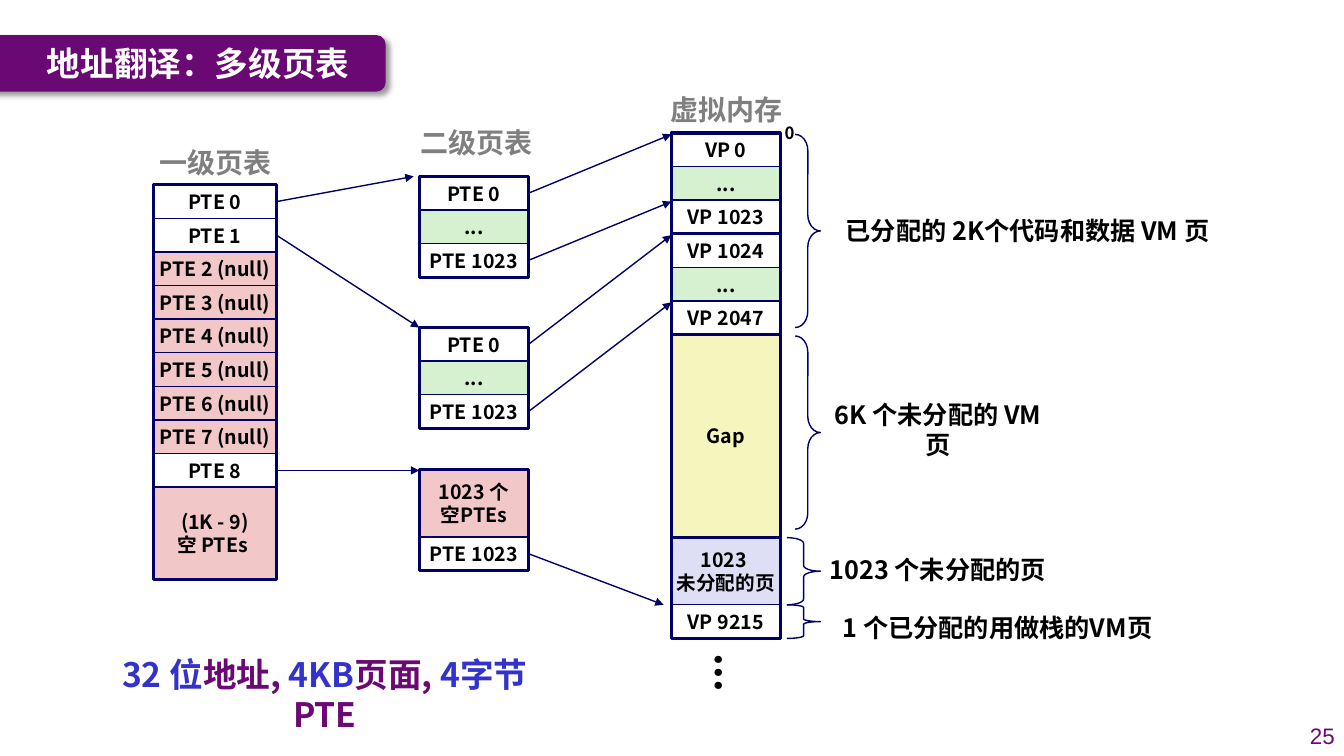
from lxml import etree
from pptx import Presentation
from pptx.dml.color import RGBColor
from pptx.enum.shapes import MSO_CONNECTOR, MSO_SHAPE
from pptx.enum.text import MSO_ANCHOR, PP_ALIGN
from pptx.oxml.ns import qn
from pptx.util import Pt

RECT, BRACE, ROUNDED = MSO_SHAPE.RECTANGLE, MSO_SHAPE.RIGHT_BRACE, MSO_SHAPE.ROUNDED_RECTANGLE
STRAIGHT = MSO_CONNECTOR.STRAIGHT
MIDDLE = MSO_ANCHOR.MIDDLE
LEFT, CENTER, RIGHT = PP_ALIGN.LEFT, PP_ALIGN.CENTER, PP_ALIGN.RIGHT
RIGHT_SIDE = 3

FONT = "Noto Sans CJK SC"
NAVY, PURPLE, BLUE, GRAY = "000066", "6A0874", "3333CC", "7F7F7F"
GREEN, PINK, YELLOW, LAVENDER = "D5F1CF", "F1C7C7", "F6F5BD", "DEDFF5"
ROW = 24
LEVEL1_X, LEVEL2_X, MEMORY_X = 109.5, 299.5, 479.5
LEVEL1_W, CELL_W = 88, 78


def write(holder, text, size, color="000000", align=CENTER, wrap=False, font=FONT, bold=True):
    """Fill a shape or text box with vertically centred text; return its frame."""
    frame = holder.text_frame
    frame.text = text
    frame.word_wrap = wrap
    frame.vertical_anchor = MIDDLE
    for paragraph in frame.paragraphs:
        paragraph.alignment = align
        paragraph.line_spacing = Pt(size * 1.2)
        paragraph.font.size = Pt(size)
        paragraph.font.bold = bold
        paragraph.font.name = font
        paragraph.font.color.rgb = RGBColor.from_string(color)
        for run in paragraph.runs:
            east_asian = etree.SubElement(run._r.get_or_add_rPr(), qn("a:ea"))
            east_asian.set("typeface", font)
    return frame


def draw(kind, x, y, w, h, fill=None, line=NAVY, weight=1):
    shape = slide.shapes.add_shape(kind, Pt(x), Pt(y), Pt(w), Pt(h))
    shape.shadow.inherit = False
    if fill:
        shape.fill.solid()
        shape.fill.fore_color.rgb = RGBColor.from_string(fill)
    else:
        shape.fill.background()
    if line:
        shape.line.color.rgb = RGBColor.from_string(line)
        shape.line.width = Pt(weight)
    else:
        shape.line.fill.background()
    return shape


prs = Presentation()
prs.slide_width, prs.slide_height = Pt(960), Pt(540)
slide = prs.slides.add_slide(prs.slide_layouts[6])

# Title banner
banner = draw(ROUNDED, -14.5, 25, 290, 40.5, PURPLE, None)
effects = banner._element.spPr.find(qn("a:effectLst"))
shadow = etree.SubElement(effects, qn("a:outerShdw"), blurRad=str(Pt(4)), dist=str(Pt(3)),
                          dir="2700000", algn="tl", rotWithShape="0")
shadow_color = etree.SubElement(shadow, qn("a:srgbClr"), val="000000")
etree.SubElement(shadow_color, qn("a:alpha"), val="40000")

# Page tables and virtual memory: x, top, width, rows of (text, height in rows, fill)
null_entries = [(f"PTE {i} (null)", 1, PINK) for i in range(2, 8)]
second_level = [("PTE 0", 1, None), ("...", 1, GREEN), ("PTE 1023", 1, None)]
blocks = {
    "level1": (LEVEL1_X, 132, LEVEL1_W, [
        ("PTE 0", 1, None), ("PTE 1", 1, None), *null_entries, ("PTE 8", 1, None),
        ("(1K - 9)\n空 PTEs ", 2.75, PINK)]),
    "code": (LEVEL2_X, 126, CELL_W, second_level),
    "data": (LEVEL2_X, 234, CELL_W, second_level),
    "stack": (LEVEL2_X, 335.5, CELL_W, [("1023 个\n空PTEs", 2, PINK), ("PTE 1023", 1, None)]),
    "vm code": (MEMORY_X, 95, CELL_W, [
        ("VP 0", 1, None), ("...", 1, GREEN), ("VP 1023", 1, None)]),
    "vm data": (MEMORY_X, 167, CELL_W, [
        ("VP 1024", 1, None), ("...", 1, GREEN), ("VP 2047", 1, None)]),
    "vm gap": (MEMORY_X, 239, CELL_W, [("Gap", 145 / ROW, YELLOW)]),
    "vm stack": (MEMORY_X, 384, CELL_W, [
        ("1023 \n未分配的页", 2, LAVENDER), ("VP 9215", 1, None)]),
}
cells = {}
for block, (x, top, width, rows) in blocks.items():
    y = top
    for text, height, fill in rows:
        border = LAVENDER if fill == LAVENDER else NAVY
        cell = draw(RECT, x, y, width, height * ROW, fill, border)
        write(cell, text, 14)
        cells[block, text] = cell
        y += height * ROW
    draw(RECT, x, top, width, y - top, weight=2.25)

# Arrows from each entry to the block it points at
arrows = [
    ("level1", "PTE 0", 295.5, 126),
    ("level1", "PTE 1", LEVEL2_X, 234),
    ("level1", "PTE 8", LEVEL2_X, 336),
    ("code", "PTE 0", MEMORY_X, 96),
    ("code", "PTE 1023", MEMORY_X, 144),
    ("data", "PTE 0", MEMORY_X, 168),
    ("data", "PTE 1023", MEMORY_X, 216),
    ("stack", "PTE 1023", 474, 432),
]
for block, entry, end_x, end_y in arrows:
    arrow = slide.shapes.add_connector(STRAIGHT, 0, 0, Pt(end_x), Pt(end_y))
    arrow.begin_connect(cells[block, entry], RIGHT_SIDE)
    arrow.line.color.rgb = RGBColor.from_string(NAVY)
    arrow.line.width = Pt(1)
    etree.SubElement(arrow.line._get_or_add_ln(), qn("a:tailEnd"), type="triangle")
    etree.SubElement(arrow._element.spPr, qn("a:effectLst"))

# Braces beside the virtual memory
for x, y, w, h, curl in [(568, 96, 18, 138, 0.64), (568, 240, 18, 138, 0.64),
                         (562, 384, 24, 48, 0.17), (562, 432, 24, 24, 0.08)]:
    brace = draw(BRACE, x, y, w, h)
    brace.adjustments[0] = curl

# Free-standing text: text, x, y, width, height, size, formatting
labels = [
    ("地址翻译：多级页表", 26.5, 25, 235.5, 40, 24, dict(color="FFFFFF", align=LEFT, wrap=True)),
    ("一级页表", 106.5, 102, 95, 28, 20, dict(color=GRAY)),
    ("二级页表", 293, 88, 95, 28, 20, dict(color=GRAY)),
    ("虚拟内存", 471.5, 64, 95, 28, 20, dict(color=GRAY)),
    ("0", 553, 84, 22, 22, 12, {}),
    ("已分配的 2K个代码和数据 VM 页", 588, 150, 292, 29, 18, {}),
    ("6K 个未分配的 VM 页", 580, 292, 180, 29, 18, dict(wrap=True)),
    ("1023 个未分配的页", 583, 392.5, 173.5, 29, 18, {}),
    ("1 个已分配的用做栈的VM页", 588, 433.5, 249, 29, 18, {}),
    ("25", 921, 511, 39.5, 29, 16,
     dict(color=PURPLE, align=RIGHT, wrap=True, font="Arial", bold=False)),
]
for text, x, y, w, h, size, style in labels:
    write(slide.shapes.add_textbox(Pt(x), Pt(y), Pt(w), Pt(h)), text, size, **style)

more_pages = slide.shapes.add_textbox(Pt(500.5), Pt(460), Pt(44), Pt(31))
write(more_pages, "...", 28)._txBody.bodyPr.set("vert", "eaVert")

# Summary line with alternating colours
summary = slide.shapes.add_textbox(Pt(59), Pt(461.5), Pt(346), Pt(69))
parts = ["32 位", "地址, ", "4KB", "页面,", " 4字节 ", "PTE"]
paragraph = write(summary, parts[0], 24, BLUE, wrap=True).paragraphs[0]
for part in parts[1:]:
    run = paragraph.add_run()
    run.text = part
    etree.SubElement(run._r.get_or_add_rPr(), qn("a:ea")).set("typeface", FONT)
for i, run in enumerate(paragraph.runs):
    run.font.color.rgb = RGBColor.from_string(PURPLE if i % 2 else BLUE)

prs.save("out.pptx")
